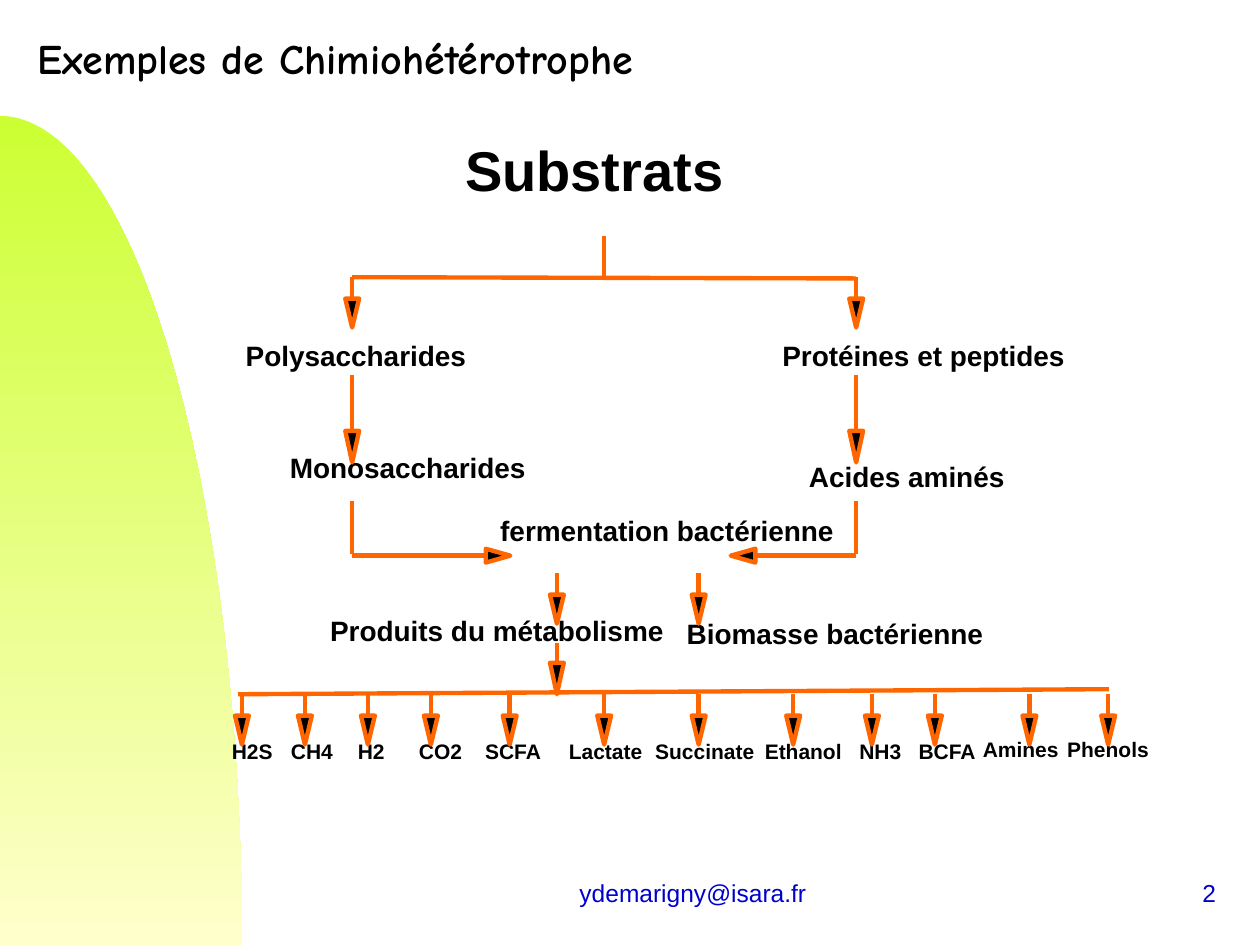
"""Build a slide that charts how bacteria ferment substrates into products."""
from dataclasses import dataclass
from math import cos, hypot, pi, sin

from lxml import etree
from pptx import Presentation
from pptx.dml.color import RGBColor
from pptx.enum.shapes import MSO_CONNECTOR
from pptx.enum.text import MSO_ANCHOR, MSO_AUTO_SIZE, PP_ALIGN
from pptx.oxml.ns import qn
from pptx.util import Inches, Pt

STRAIGHT = MSO_CONNECTOR.STRAIGHT
LEFT, CENTER, RIGHT = PP_ALIGN.LEFT, PP_ALIGN.CENTER, PP_ALIGN.RIGHT
TOP, MIDDLE = MSO_ANCHOR.TOP, MSO_ANCHOR.MIDDLE
GROW, FIXED = MSO_AUTO_SIZE.SHAPE_TO_FIT_TEXT, MSO_AUTO_SIZE.NONE

COLUMNS, ROWS = 100, 75
LABEL_HEIGHT, PRODUCT_HEIGHT = 2.7, 2
HEAD_HALF_WIDTH = 0.55


@dataclass(frozen=True)
class Theme:
    """Hold the colours, fonts and type sizes of the slide."""
    ink: RGBColor = RGBColor.from_string("000000")
    footer: RGBColor = RGBColor.from_string("0000CC")
    arrow: RGBColor = RGBColor.from_string("FF6600")
    hill_top: RGBColor = RGBColor.from_string("CCFF33")
    hill_bottom: RGBColor = RGBColor.from_string("FFFFCC")
    title_font: str = "Comic Neue"
    body_font: str = "Arial"
    title_size: int = 24
    heading_size: int = 32
    label_size: int = 16
    product_size: int = 12
    footer_size: int = 14
    line_width: float = 2.5


THEME = Theme()

LABELS = [
    ("Polysaccharides", 19.5, 26.9, 17.8),
    ("Protéines et peptides", 62.1, 26.9, 22.7),
    ("Monosaccharides", 23, 35.75, 19),
    ("Acides aminés", 64.2, 36.5, 15.8),
    ("fermentation bactérienne", 39.7, 40.75, 26.8),
    ("Produits du métabolisme", 26.2, 48.7, 26.8),
    ("Biomasse bactérienne", 54.5, 48.95, 23.8),
]

PRODUCTS = [
    ("H2S", 0, 18.4, 58.6, 3.6),
    ("CH4", 4, 23.1, 58.6, 3.6),
    ("H2", 8, 28.4, 58.6, 2.4),
    ("CO2", 12, 33.25, 58.6, 3.7),
    ("SCFA", 17, 38.5, 58.6, 4.8),
    ("Lactate", 23, 45.15, 58.6, 6.1),
    ("Succinate", 29, 52, 58.6, 8.2),
    ("Ethanol", 35, 60.7, 58.6, 6.4),
    ("NH3", 40, 68.2, 58.6, 3.6),
    ("BCFA", 44, 72.9, 58.6, 4.9),
    ("Amines", 50, 78, 58.45, 6.3),
    ("Phenols", 55, 84.7, 58.45, 6.8),
]


def cells(*values):
    """Turn grid cells into slide lengths."""
    return [Inches(value / 10) for value in values]


def lane(number):
    """Return the grid column of a vertical arrow lane."""
    return 19.2 + 1.25 * number


def write(shape, text, size, color=THEME.ink, font=THEME.body_font, bold=True,
          align=LEFT, anchor=TOP, wrap=False, auto_size=GROW, margins=(0, 0)):
    """Put one formatted run of text into a shape."""
    frame = shape.text_frame
    frame.word_wrap = wrap
    frame.auto_size = auto_size
    frame.vertical_anchor = anchor
    frame.margin_left = frame.margin_right = Inches(margins[0])
    frame.margin_top = frame.margin_bottom = Inches(margins[1])
    paragraph = frame.paragraphs[0]
    paragraph.alignment = align
    run = paragraph.add_run()
    run.text = text
    run.font.name = font
    run.font.size = Pt(size)
    run.font.bold = bold
    run.font.color.rgb = color


def add_title(slide, text):
    """Move the title placeholder into place and fill it."""
    title = slide.shapes.title
    title.left, title.top, title.width, title.height = cells(2, 2.1, 66.9, 5)
    write(title, text, THEME.title_size, font=THEME.title_font, wrap=True,
          margins=(0.1, 0.05))


def add_label(slide, text, box, size, **style):
    """Add a text box at a grid position."""
    write(slide.shapes.add_textbox(*cells(*box)), text, size, **style)


def add_footer(slide, text, box, align):
    """Add a line of footer text."""
    add_label(slide, text, box, THEME.footer_size, color=THEME.footer, bold=False,
              align=align, anchor=MIDDLE, auto_size=FIXED, margins=(0.1, 0.05))


def add_outline(slide, points):
    """Add a closed outline through grid points."""
    start, *others = [tuple(cells(*point)) for point in points]
    builder = slide.shapes.build_freeform(*start)
    builder.add_line_segments(others, close=True)
    shape = builder.convert_to_shape()
    shape.shadow.inherit = False
    return shape


def add_hill(slide):
    """Add the quarter ellipse with its gradient at the left edge."""
    steps = 90
    angles = [pi / 2 * step / steps for step in range(steps + 1)]
    curve = [(19.2 * sin(angle), ROWS - 65.8 * cos(angle)) for angle in angles]
    hill = add_outline(slide, curve + [(0, ROWS)])
    hill.line.fill.background()
    hill.fill.gradient()
    hill.fill.gradient_angle = 270
    stops = zip(hill.fill.gradient_stops, (THEME.hill_top, THEME.hill_bottom))
    for position, (stop, color) in enumerate(stops):
        stop.color.rgb = color
        stop.position = position


def style_line(line):
    """Give a line the arrow colour and width."""
    line.color.rgb = THEME.arrow
    line.width = Pt(THEME.line_width)


def add_line(slide, start, end):
    """Add a straight line between two grid points."""
    connector = slide.shapes.add_connector(STRAIGHT, *cells(*start, *end))
    style_line(connector.line)
    etree.SubElement(connector._element.spPr, qn("a:effectLst"))


def add_arrow(slide, start, tip, head=2.3):
    """Add a line that ends in a long outlined arrowhead."""
    length = hypot(tip[0] - start[0], tip[1] - start[1])
    across, down = (tip[0] - start[0]) / length, (tip[1] - start[1]) / length
    base = (tip[0] - head * across, tip[1] - head * down)
    side = (HEAD_HALF_WIDTH * down, HEAD_HALF_WIDTH * across)
    triangle = add_outline(slide, [
        tip,
        (base[0] - side[0], base[1] + side[1]),
        (base[0] + side[0], base[1] - side[1]),
    ])
    triangle.fill.solid()
    triangle.fill.fore_color.rgb = THEME.ink
    style_line(triangle.line)
    add_line(slide, start, base)


def add_flow(slide):
    """Connect the substrates to the two end results."""
    trunk, left, right = lane(23), lane(7), lane(39)
    add_line(slide, (trunk, 18.7), (trunk, 22.1))
    add_line(slide, (left, 22), (right, 22.1))
    for column, tip in ((left, 40.5), (right, 58)):
        add_arrow(slide, (column, 22), (column, 26))
        add_arrow(slide, (column, 29.8), (column, 36.7), head=2.5)
        add_line(slide, (column, 39.8), (column, 44))
        add_arrow(slide, (column, 44.1), (tip, 44.1), head=1.95)
    for column in (lane(20), lane(29)):
        add_arrow(slide, (column, 45.5), (column, 49.5))
    add_arrow(slide, (lane(20), 51), (lane(20), 55.1), head=2.5)
    add_line(slide, (18.9, 55.1), (88, 54.7))


def main():
    """Build and save the slide."""
    presentation = Presentation()
    presentation.slide_width, presentation.slide_height = cells(COLUMNS, ROWS)
    slide = presentation.slides.add_slide(presentation.slide_layouts[5])
    add_hill(slide)
    add_title(slide, "Exemples de Chimiohétérotrophe")
    add_footer(slide, "ydemarigny@isara.fr", (39.15, 68.35, 31.7, 5), CENTER)
    add_footer(slide, "2", (76.7, 68.35, 20.8, 5), RIGHT)
    add_label(slide, "Substrats ", (30.3, 10.75, 35, 5.3), THEME.heading_size,
              align=CENTER, wrap=True)
    for text, left, top, width in LABELS:
        add_label(slide, text, (left, top, width, LABEL_HEIGHT), THEME.label_size)
    add_flow(slide)
    for text, number, left, top, width in PRODUCTS:
        add_label(slide, text, (left, top, width, PRODUCT_HEIGHT), THEME.product_size)
        add_arrow(slide, (lane(number), 55.1), (lane(number), 59.1))
    presentation.save("out.pptx")


if __name__ == "__main__":
    main()
